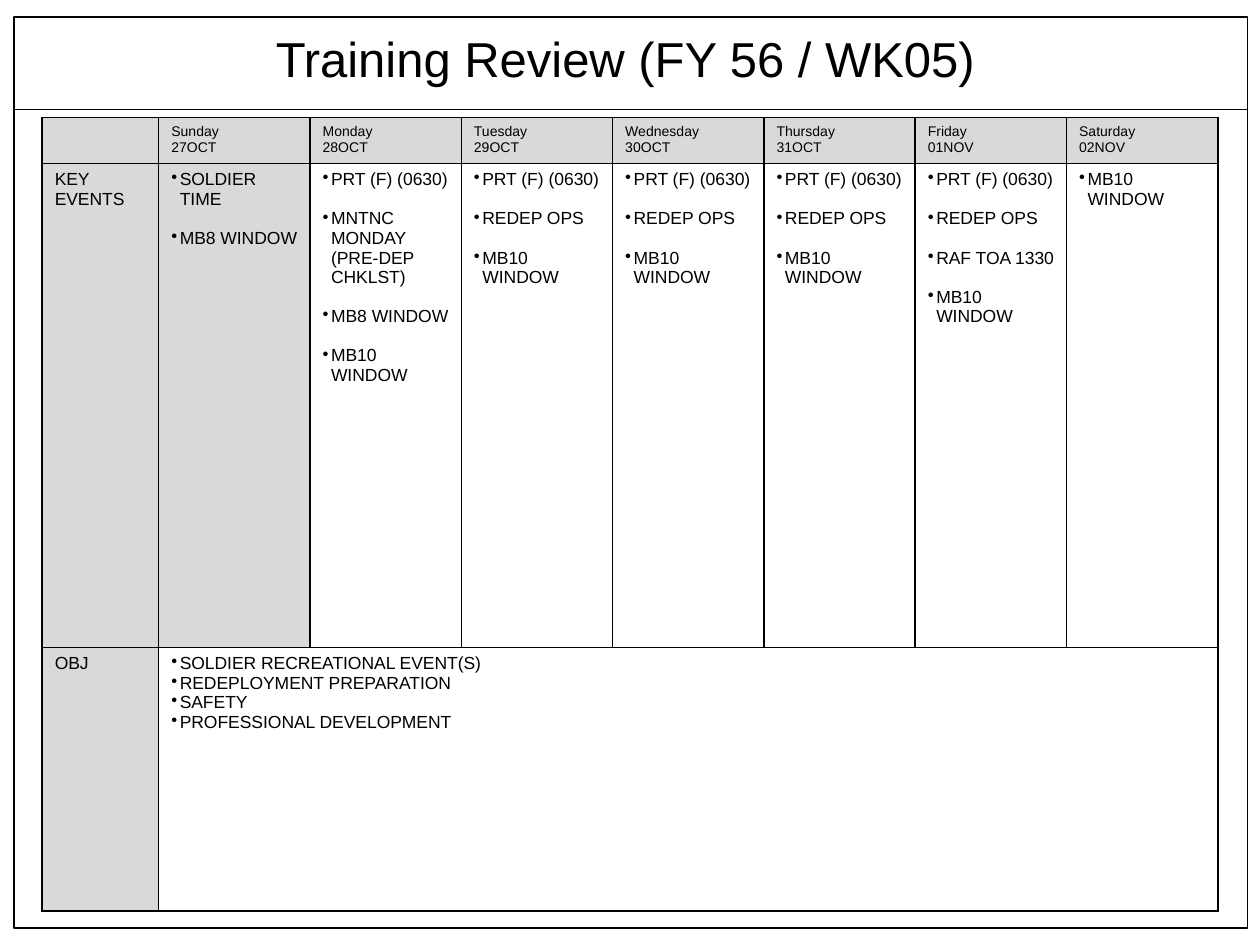
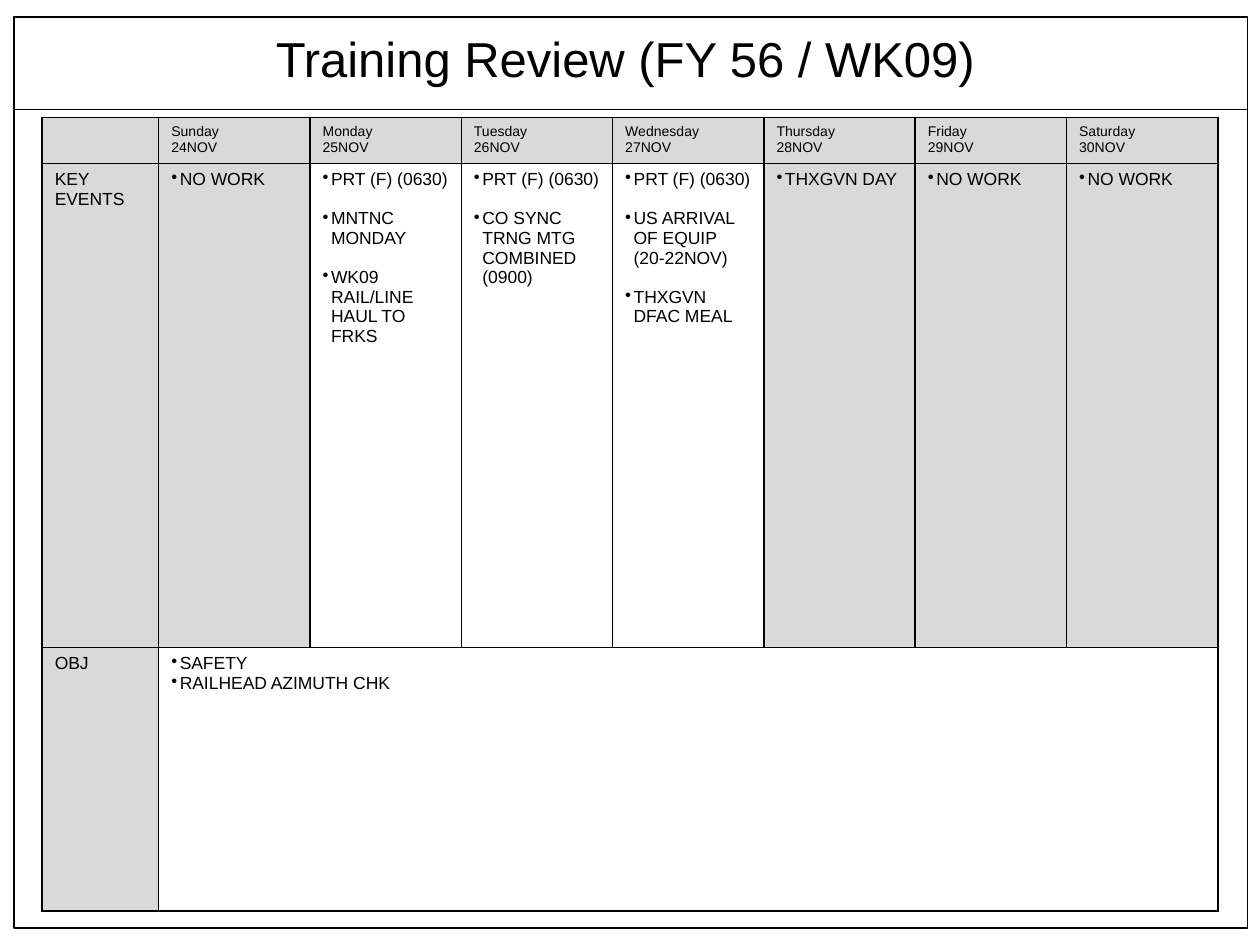
import pptx
import pptx.dml.color
import pptx.enum.shapes
import pptx.enum.text
import pptx.oxml.ns
import pptx.util
from lxml import etree

Cm = pptx.util.Cm
Pt = pptx.util.Pt
qn = pptx.oxml.ns.qn

BLACK = pptx.dml.color.RGBColor(0x00, 0x00, 0x00)
WHITE = pptx.dml.color.RGBColor(0xFF, 0xFF, 0xFF)
GRAY = pptx.dml.color.RGBColor(0xD9, 0xD9, 0xD9)
FONT = "Arial"
LINE_WIDTH = Pt(1)

# Regions: left, top, width, height
FRAME_BOX = (Cm(0.28), Cm(0.35), Cm(24.87), Cm(18.36))
TITLE_BOX = (Cm(5.31), Cm(0.46), Cm(14.78), Cm(1.45))
TABLE_BOX = (Cm(0.85), Cm(2.37), Cm(23.7), Cm(15.99))
TITLE_BAND_HEIGHT = Cm(1.86)
LABEL_WIDTH = Cm(2.35)
HEADER_HEIGHT = Cm(0.93)
EVENTS_HEIGHT = Cm(9.75)
BULLET_INDENT = Cm(0.17)
EVENT_GAP = Pt(11.2)

DAYS = ["Sunday", "Monday", "Tuesday", "Wednesday", "Thursday", "Friday", "Saturday"]
PRT = "PRT (F) (0630)"
MB8 = "MB8 WINDOW"
MB10 = "MB10 WINDOW"

WEEKS = [
    {
        "title": "Training Review (FY 56 / WK05)",
        "dates": ["27OCT", "28OCT", "29OCT", "30OCT", "31OCT", "01NOV", "02NOV"],
        "events": [
            ["SOLDIER TIME", MB8],
            [PRT, "MNTNC MONDAY (PRE-DEP CHKLST)", MB8, MB10],
            [PRT, "REDEP OPS", MB10],
            [PRT, "REDEP OPS", MB10],
            [PRT, "REDEP OPS", MB10],
            [PRT, "REDEP OPS", "RAF TOA 1330", MB10],
            [MB10],
        ],
        "days_off": {"Sunday"},
        "objectives": [
            "SOLDIER RECREATIONAL EVENT(S)",
            "REDEPLOYMENT PREPARATION",
            "SAFETY",
            "PROFESSIONAL DEVELOPMENT",
        ],
    },
    {
        "title": "Training Review (FY 56 / WK09)",
        "dates": ["24NOV", "25NOV", "26NOV", "27NOV", "28NOV", "29NOV", "30NOV"],
        "events": [
            ["NO WORK"],
            [PRT, "MNTNC MONDAY", "WK09 RAIL/LINE HAUL TO FRKS"],
            [PRT, "CO SYNC TRNG MTG COMBINED (0900)"],
            [PRT, "US ARRIVAL OF EQUIP (20-22NOV)", "THXGVN DFAC MEAL"],
            ["THXGVN DAY"],
            ["NO WORK"],
            ["NO WORK"],
        ],
        "days_off": {"Sunday", "Thursday", "Friday", "Saturday"},
        "objectives": ["SAFETY", "RAILHEAD AZIMUTH CHK"],
    },
]


def write_text(text_frame, lines, size=10, bullet=False, gap=Pt(0)):
    """Write one paragraph per line, with the gap between paragraphs."""
    for index, line in enumerate(lines):
        paragraph = text_frame.paragraphs[0] if index == 0 else text_frame.add_paragraph()
        if index:
            paragraph.space_before = gap
        if bullet:
            properties = paragraph._p.get_or_add_pPr()
            properties.set("marL", str(BULLET_INDENT))
            properties.set("indent", str(-BULLET_INDENT))
            etree.SubElement(properties, qn("a:buChar")).set("char", "•")
        run = paragraph.add_run()
        run.text = line
        run.font.name = FONT
        run.font.size = Pt(size)
        run.font.color.rgb = BLACK


def format_cell(cell, color):
    """Draw the four borders, then the fill."""
    properties = cell._tc.get_or_add_tcPr()
    for side in ("a:lnL", "a:lnR", "a:lnT", "a:lnB"):
        border = etree.SubElement(properties, qn(side))
        border.set("w", str(LINE_WIDTH))
        fill = etree.SubElement(border, qn("a:solidFill"))
        etree.SubElement(fill, qn("a:srgbClr")).set("val", str(BLACK))
    cell.fill.solid()
    cell.fill.fore_color.rgb = color


def add_frame(slide, box):
    """Outer border and the rule under the title."""
    left, top, width, height = box
    frame = slide.shapes.add_shape(pptx.enum.shapes.MSO_SHAPE.RECTANGLE, *box)
    frame.shadow.inherit = False
    frame.fill.background()
    rule_top = top + TITLE_BAND_HEIGHT
    rule = slide.shapes.add_connector(
        pptx.enum.shapes.MSO_CONNECTOR.STRAIGHT, left, rule_top, left + width, rule_top)
    etree.SubElement(rule._element.spPr, qn("a:effectLst"))
    for shape in (frame, rule):
        shape.line.color.rgb = BLACK
        shape.line.width = LINE_WIDTH


def add_title(slide, box, title):
    text_frame = slide.shapes.add_textbox(*box).text_frame
    text_frame.word_wrap = False
    text_frame.auto_size = pptx.enum.text.MSO_AUTO_SIZE.SHAPE_TO_FIT_TEXT
    write_text(text_frame, [title], size=28)


def add_week_table(slide, box, week):
    left, top, width, height = box
    table = slide.shapes.add_table(3, len(DAYS) + 1, *box).table
    table.first_row = False
    table.horz_banding = False

    # Column and row sizes
    day_width = (width - LABEL_WIDTH) // len(DAYS)
    for index, column in enumerate(table.columns):
        column.width = day_width if index else LABEL_WIDTH
    row_heights = (HEADER_HEIGHT, EVENTS_HEIGHT, height - HEADER_HEIGHT - EVENTS_HEIGHT)
    for row, row_height in zip(table.rows, row_heights):
        row.height = row_height

    # Borders and fills
    off_columns = {DAYS.index(day) + 1 for day in week["days_off"]}
    for row_index, row in enumerate(table.rows):
        for column_index, cell in enumerate(row.cells):
            shaded = (row_index == 0 or column_index == 0
                      or (row_index == 1 and column_index in off_columns))
            format_cell(cell, GRAY if shaded else WHITE)

    # Row labels; the empty corner must not stretch the header row
    corner = table.cell(0, 0)
    corner.margin_top = corner.margin_bottom = 0
    write_text(table.cell(1, 0).text_frame, ["KEY EVENTS"])
    write_text(table.cell(2, 0).text_frame, ["OBJ"])

    # Days and their events
    for column_index, (day, date, events) in enumerate(
            zip(DAYS, week["dates"], week["events"]), start=1):
        write_text(table.cell(0, column_index).text_frame, [day, date], size=8)
        write_text(table.cell(1, column_index).text_frame, events,
                   bullet=True, gap=EVENT_GAP)

    # Objectives span the whole week
    objectives = table.cell(2, 1)
    objectives.merge(table.cell(2, len(DAYS)))
    write_text(objectives.text_frame, week["objectives"], bullet=True)


def add_week_slide(presentation, week):
    slide = presentation.slides.add_slide(presentation.slide_layouts[6])
    add_frame(slide, FRAME_BOX)
    add_title(slide, TITLE_BOX, week["title"])
    add_week_table(slide, TABLE_BOX, week)


def main():
    presentation = pptx.Presentation()
    presentation.slide_width = Cm(25.4)
    presentation.slide_height = Cm(19.05)
    for week in WEEKS:
        add_week_slide(presentation, week)
    presentation.save("out.pptx")


if __name__ == "__main__":
    main()
